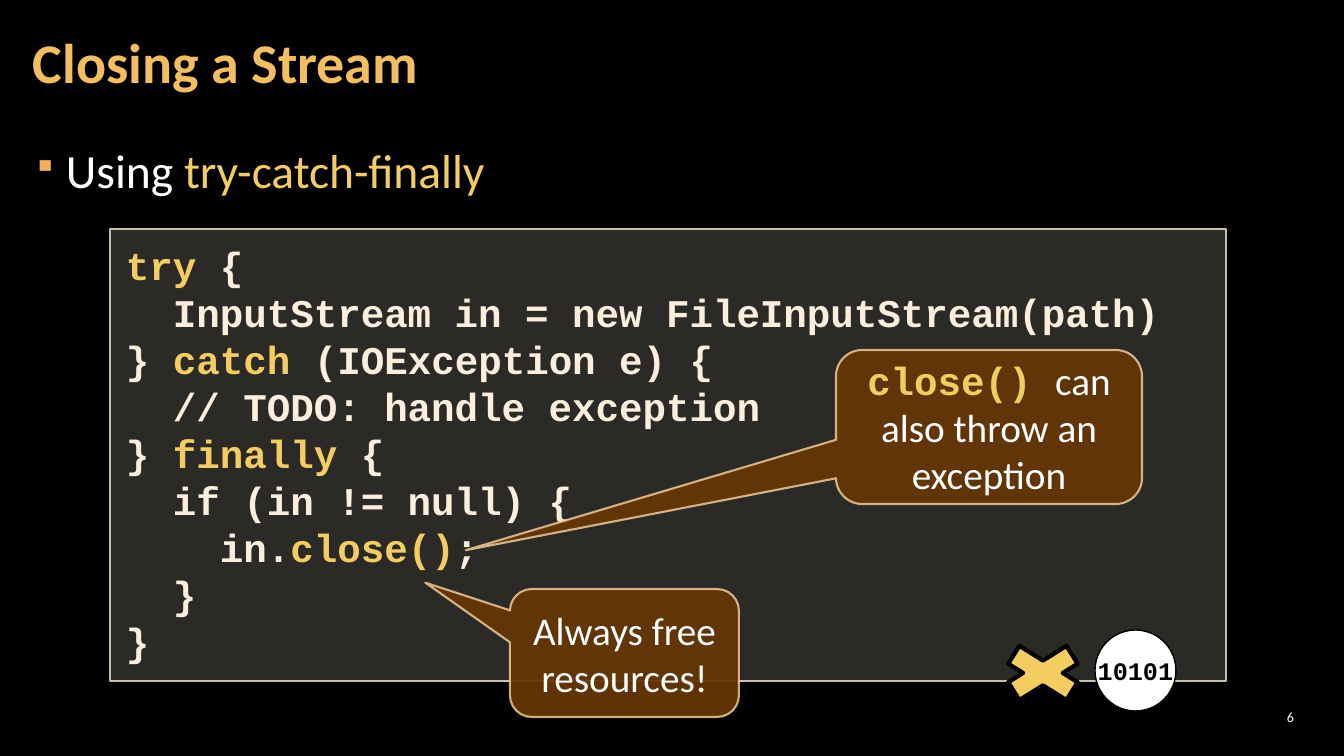
"""Build the slide on closing a stream with try-catch-finally."""
from lxml.etree import SubElement
from pptx import Presentation
from pptx.dml.color import RGBColor
from pptx.enum.shapes import MSO_SHAPE
from pptx.enum.text import MSO_ANCHOR, MSO_AUTO_SIZE, PP_ALIGN
from pptx.oxml.ns import qn
from pptx.util import Pt

PX = 9071.43
SLIDE_SIZE = 1344, 756
BACKGROUND = "000000"
BULLET = {"char": "▪", "color": "F2B254", "indent": 33, "percent": 70}

STYLES = {
    "title": ("Calibri", 40, True, "F3BE60"),
    "topic": ("Calibri", 34, False, "FFFFFF"),
    "topic key": ("Calibri", 34, False, "F3CD60"),
    "code": ("Courier New", 28, True, "FBEEDC"),
    "code key": ("Courier New", 28, True, "F3CD60"),
    "note": ("Calibri", 28, False, "FFFFFF"),
    "bits": ("Courier New", 18, True, "000000"),
    "number": ("Calibri", 10, False, "FFFFFF"),
}

TITLE = [[("Closing a Stream", "title")]]
TOPIC = [[("Using ", "topic"), ("try-catch-finally", "topic key")]]
CODE = [
    [("try", "code key"), (" {", "code")],
    [("  InputStream in = new FileInputStream(path)", "code")],
    [("} ", "code"), ("catch", "code key"), (" (IOException e) {", "code")],
    [("  // TODO: handle exception", "code")],
    [("} ", "code"), ("finally", "code key"), (" {", "code")],
    [("  if (in != null) {", "code")],
    [("    in.", "code"), ("close()", "code key"), (";", "code")],
    [("  }", "code")],
    [("}", "code")],
]
BITS = [[("10101", "bits")]]
FREE_NOTE = [[("Always free resources!", "note")]]
THROW_NOTE = [[("close() ", "code key"), ("can also throw an exception", "note")]]
NUMBER = [[("6", "number")]]

CENTERED = {"alignment": PP_ALIGN.CENTER}
CALLOUT = MSO_SHAPE.ROUNDED_RECTANGULAR_CALLOUT
CALLOUT_FILL, CALLOUT_LINE = ("663606", 95), ("F8D49E", 80, 1.5)

SHAPES = [
    (MSO_SHAPE.RECTANGLE, (110, 229, 1116, 452), [], ("D9D5C7", 20), ("C7BFAC", 100, 1),
     CODE, (16, 12), MSO_ANCHOR.TOP, {"alignment": PP_ALIGN.LEFT, "line_spacing": 1.0}),
    (MSO_SHAPE.OVAL, (1095, 630, 81, 81), [], ("FFFFFF", 100), ("000000", 100, 1),
     BITS, (0, 5), MSO_ANCHOR.MIDDLE, CENTERED),
    (MSO_SHAPE.MATH_MULTIPLY, (987, 638, 112, 70), [0.3], ("F3CD60", 100), ("000000", 100, 3),
     [], (0, 0), MSO_ANCHOR.MIDDLE, CENTERED),
    (CALLOUT, (510, 589, 229, 128), [-0.87, -0.55, 0.17], CALLOUT_FILL, CALLOUT_LINE,
     FREE_NOTE, (10, 5), MSO_ANCHOR.MIDDLE, CENTERED),
    (CALLOUT, (836, 350, 306, 154), [-1.71, 0.8, 0.17], CALLOUT_FILL, CALLOUT_LINE,
     THROW_NOTE, (10, 5), MSO_ANCHOR.MIDDLE, CENTERED),
]


def emu(px):
    """Turn px into EMU."""
    return round(px * PX)


def paint(fill, color, opacity=100):
    """Give a fill one colour and an opacity in percent."""
    fill.solid()
    fill.fore_color.rgb = RGBColor.from_string(color)
    if opacity < 100:
        for tint in fill._xPr.iter(qn("a:srgbClr")):
            SubElement(tint, qn("a:alpha"), val=str(opacity * 1000))


def assign(target, values):
    """Set each named attribute of the target."""
    for name, value in values.items():
        setattr(target, name, value)


def place(shape, box):
    """Move and size a shape in px."""
    assign(shape, dict(zip(("left", "top", "width", "height"), map(emu, box))))


def write(shape, lines, inset, anchor, layout, wrap=True):
    """Fill a shape with styled lines of text."""
    frame = shape.text_frame
    across, down = map(emu, inset)
    assign(frame, {
        "auto_size": MSO_AUTO_SIZE.NONE, "word_wrap": wrap, "vertical_anchor": anchor,
        "margin_left": across, "margin_right": across,
        "margin_top": down, "margin_bottom": down,
    })
    for index, line in enumerate(lines):
        paragraph = frame.add_paragraph() if index else frame.paragraphs[0]
        assign(paragraph, layout)
        for text, style in line:
            run = paragraph.add_run()
            run.text = text
            face, size, bold, color = STYLES[style]
            assign(run.font, {"name": face, "size": Pt(size), "bold": bold})
            paint(run.font.fill, color)


def add_bullet(paragraph):
    """Give a paragraph a coloured bullet and a hanging indent."""
    properties = paragraph._p.get_or_add_pPr()
    indent = emu(BULLET["indent"])
    properties.set("marL", str(indent))
    properties.set("indent", str(-indent))
    color = SubElement(properties, qn("a:buClr"))
    SubElement(color, qn("a:srgbClr"), val=BULLET["color"])
    SubElement(properties, qn("a:buSzPct"), val=str(BULLET["percent"] * 1000))
    SubElement(properties, qn("a:buChar"), char=BULLET["char"])


def add_panel(slide, kind, box, adjustments, fill, line, lines, inset, anchor, layout):
    """Draw one filled and outlined shape with its text."""
    panel = slide.shapes.add_shape(kind, *map(emu, box))
    panel.shadow.inherit = False
    for index, value in enumerate(adjustments):
        panel.adjustments[index] = value
    paint(panel.fill, *fill)
    color, opacity, width = line
    panel.line.width = Pt(width)
    paint(panel.line.fill, color, opacity)
    write(panel, lines, inset, anchor, layout, wrap=lines is not BITS)


def main():
    """Build and save the slide."""
    deck = Presentation()
    deck.slide_width, deck.slide_height = map(emu, SLIDE_SIZE)
    slide = deck.slides.add_slide(deck.slide_layouts[5])
    paint(slide.background.fill, BACKGROUND)

    title = slide.shapes.title
    place(title, (21, 4, 1055, 122))
    write(title, TITLE, (12, 4), MSO_ANCHOR.MIDDLE,
          {"alignment": PP_ALIGN.LEFT, "line_spacing": 0.9})

    topic = slide.shapes.add_textbox(*map(emu, (21, 137, 1301, 614)))
    write(topic, TOPIC, (12, 4), MSO_ANCHOR.TOP,
          {"space_before": Pt(6), "space_after": Pt(6)})
    add_bullet(topic.text_frame.paragraphs[0])

    for panel in SHAPES:
        add_panel(slide, *panel)

    number = slide.shapes.add_textbox(*map(emu, (1251, 706, 47, 21)))
    write(number, NUMBER, (4, 4), MSO_ANCHOR.MIDDLE, {"alignment": PP_ALIGN.RIGHT})
    deck.save("out.pptx")


if __name__ == "__main__":
    main()
